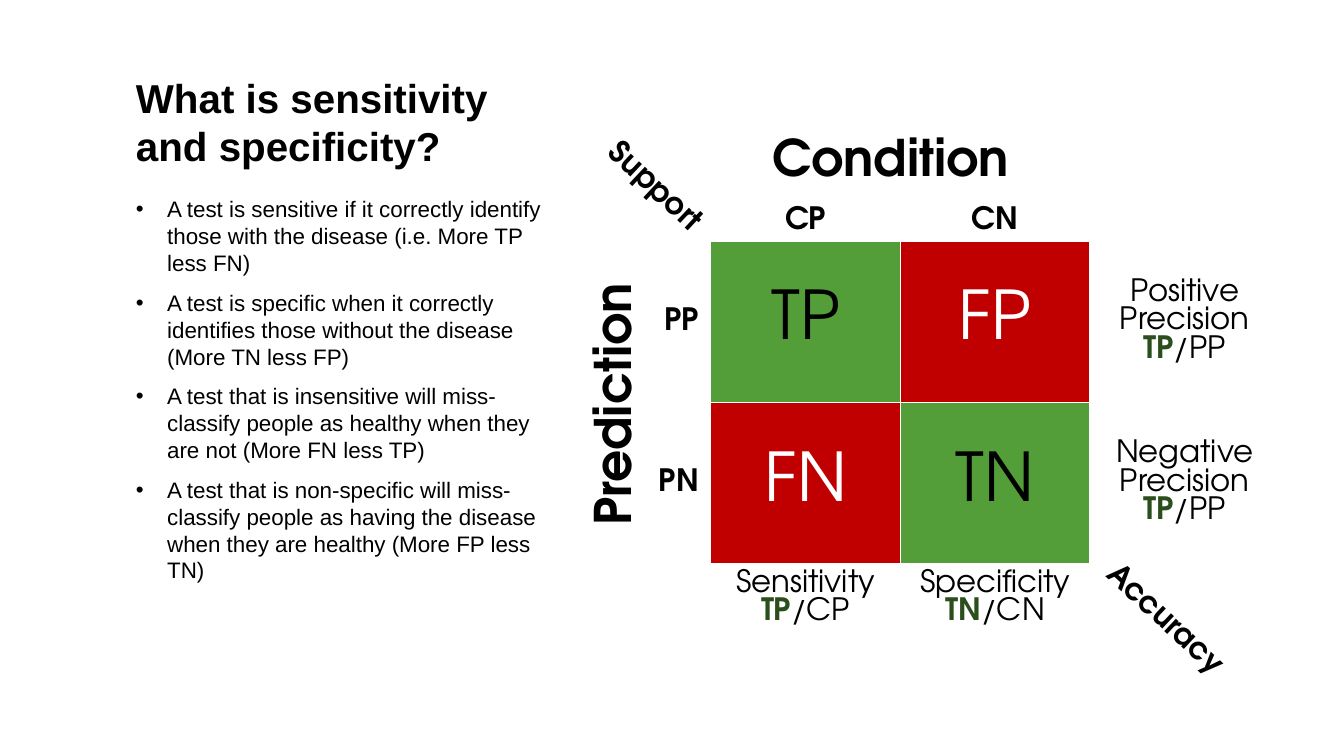
from lxml import etree
from pptx import Presentation
from pptx.dml.color import RGBColor
from pptx.enum.text import MSO_ANCHOR as Anchor, PP_ALIGN as Align
from pptx.oxml.ns import qn
from pptx.util import Inches, Pt

# Content
TITLE = "What is sensitivity and specificity?"
POINTS = [
    "A test is sensitive if it correctly identify those with the disease (i.e. More TP less FN)",
    "A test is specific when it correctly identifies those without the disease (More TN less FP)",
    "A test that is insensitive will miss-classify people as healthy when they are not (More FN less TP)",
    "A test that is non-specific will miss-classify people as having the disease when they are healthy (More FP less TN)",
]
# Each cell is a list of lines; a slash splits a ratio
GRID = [
    [[], ["CP"], ["CN"], []],
    [["PP"], ["TP"], ["FP"], ["Positive", "Precision", "TP/PP"]],
    [["PN"], ["FN"], ["TN"], ["Negative", "Precision", "TP/PP"]],
    [[], ["Sensitivity", "TP/CP"], ["Specificity", "TN/CN"], []],
]
# Text, left, top, width, height, turn, size, alignment
LABELS = [
    ("Condition", 7.56, 1.2, 2.57, 0.71, 0, 36, Align.LEFT),
    ("Prediction", 4.75, 3.64, 2.64, 0.71, 270, 36, Align.LEFT),
    ("Accuracy", 10.29, 5.89, 2.57, 0.47, 43.1, 22, Align.CENTER),
    ("Support", 5.23, 1.6, 2.57, 0.47, 43.1, 22, Align.CENTER),
]
SANS, ROUND = "Arial", "TeX Gyre Adventor"
BLACK, WHITE, GREEN, RED, DARK = "000000", "FFFFFF", "549E39", "C00000", "2A4F1C"
COL, ROW = 1.88, 1.6


def color(code):
    return RGBColor.from_string(code)


def style(font, name, size, code=BLACK, bold=False):
    font.name, font.size, font.bold = name, Pt(size), bold
    font.color.rgb = color(code)


def add_box(left, top, width, height):
    box = slide.shapes.add_textbox(*map(Inches, (left, top, width, height)))
    box.text_frame.word_wrap = True
    return box


def add_bullet(para):
    props = para._p.get_or_add_pPr()
    props.set("marL", str(Inches(0.31)))
    props.set("indent", str(-Inches(0.31)))
    etree.SubElement(props, qn("a:buFont"), typeface=SANS)
    etree.SubElement(props, qn("a:buChar"), char="•")


def add_edges(cell):
    props = cell._tc.get_or_add_tcPr()
    for spot, side in enumerate(("a:lnL", "a:lnR", "a:lnT", "a:lnB")):
        line = etree.Element(qn(side), w=str(Pt(1)))
        fill = etree.SubElement(line, qn("a:solidFill"))
        etree.SubElement(fill, qn("a:srgbClr"), val=WHITE)
        props.insert(spot, line)


def fill_cell(cell, lines, row, col):
    core = row in (1, 2) and col in (1, 2)
    good = row == col
    cell.fill.solid()
    cell.fill.fore_color.rgb = color((GREEN if good else RED) if core else WHITE)
    add_edges(cell)
    cell.margin_left = cell.margin_right = Inches(0.12)
    cell.margin_top = cell.margin_bottom = Inches(0.06)
    cell.vertical_anchor = (Anchor.BOTTOM, Anchor.MIDDLE, Anchor.MIDDLE, Anchor.TOP)[row]
    frame = cell.text_frame
    for i, text in enumerate(lines):
        para = frame.add_paragraph() if i else frame.paragraphs[0]
        para.alignment = Align.CENTER if col else Align.RIGHT
        style(para.font, ROUND, 48 if core else 22,
              WHITE if core and not good else BLACK, row == 0 or col == 0)
        top, slash, base = text.partition("/")
        first = para.add_run()
        first.text = top
        if slash:
            first.font.bold = True
            first.font.color.rgb = color(DARK)
            para.add_run().text = slash + base


deck = Presentation()
deck.slide_width, deck.slide_height = Inches(13.33), Inches(7.5)
slide = deck.slides.add_slide(deck.slide_layouts[6])

# Title
frame = add_box(1.25, 0.67, 4.12, 1.07).text_frame
frame.vertical_anchor = Anchor.MIDDLE
para = frame.paragraphs[0]
para.text = TITLE
style(para.font, SANS, 28.8, bold=True)

# Confusion matrix
table = slide.shapes.add_table(
    4, 4, Inches(5.17), Inches(0.79), Inches(4 * COL), Inches(4 * ROW)).table
table.first_row = table.horz_banding = False
for r, cells in enumerate(GRID):
    table.rows[r].height = Inches(ROW)
    table.columns[r].width = Inches(COL)
    for c, lines in enumerate(cells):
        fill_cell(table.cell(r, c), lines, r, c)

# Labels around the matrix
for text, left, top, width, height, turn, size, align in LABELS:
    box = add_box(left, top, width, height)
    box.rotation = turn
    para = box.text_frame.paragraphs[0]
    para.text, para.alignment = text, align
    style(para.font, ROUND, size, bold=True)

# Bullet points
frame = add_box(1.25, 1.89, 4.47, 4.44).text_frame
for i, text in enumerate(POINTS):
    para = frame.add_paragraph() if i else frame.paragraphs[0]
    para.text = text
    para.space_before, para.space_after = Pt(3.2), Pt(6)
    add_bullet(para)
    style(para.font, SANS, 16)

deck.save("out.pptx")
